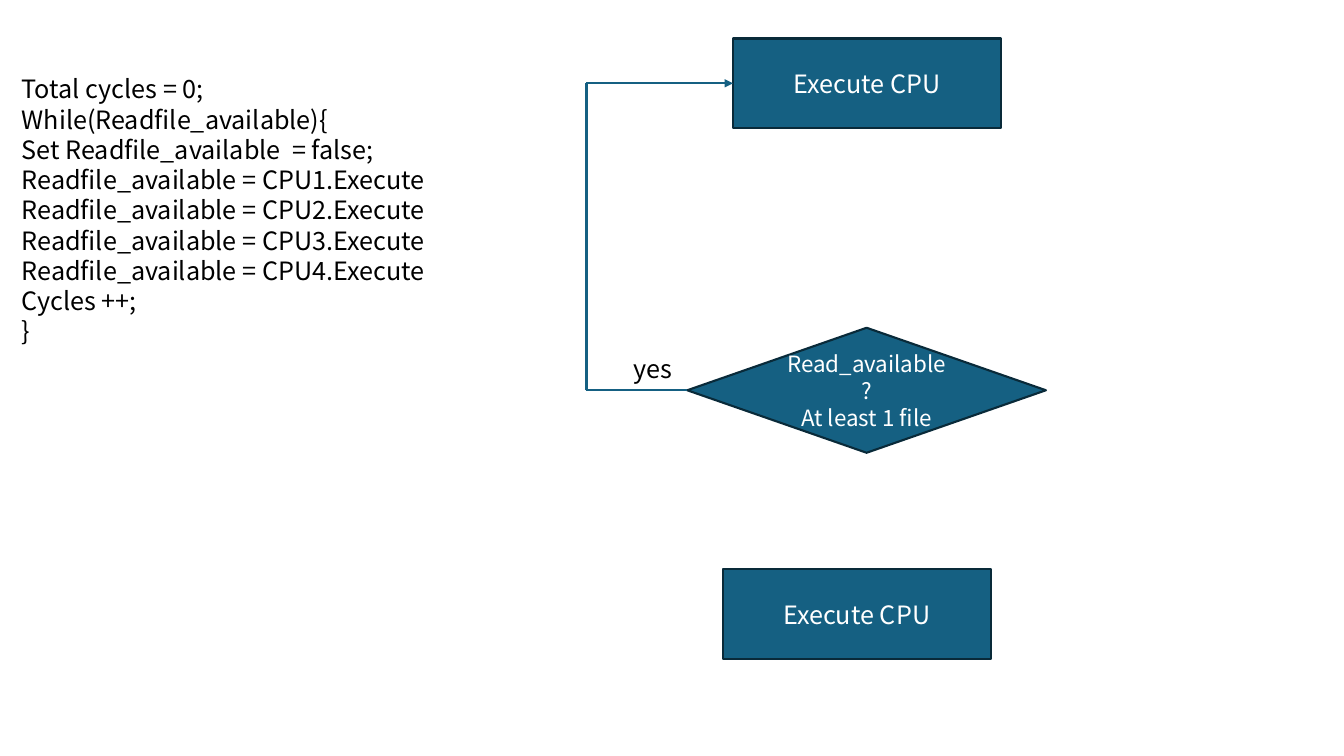
from dataclasses import dataclass
from itertools import pairwise

from lxml.etree import SubElement
from pptx import Presentation
from pptx.dml.color import RGBColor
from pptx.enum.shapes import MSO_CONNECTOR as Connector, MSO_SHAPE as Shape
from pptx.enum.text import MSO_ANCHOR as Anchor, PP_ALIGN as Align
from pptx.oxml.ns import qn
from pptx.util import Cm, Pt


@dataclass(frozen=True)
class Theme:
    """Colours, font and sizes of the slide."""
    fill: RGBColor = RGBColor(0x15, 0x60, 0x82)
    outline: RGBColor = RGBColor(0x09, 0x2A, 0x39)
    dark_text: RGBColor = RGBColor(0, 0, 0)
    light_text: RGBColor = RGBColor(0xFF, 0xFF, 0xFF)
    font: str = "Noto Sans CJK KR"
    body_size: int = 18
    decision_size: int = 16
    line_width: float = 1.5
    line_spacing: float = 1.2


THEME = Theme()
LEFT_SIDE = 1

PSEUDOCODE = [
    "Total cycles = 0;",
    "While(Readfile_available){",
    "Set Readfile_available  = false;",
    *(f"Readfile_available = CPU{number}.Execute" for number in range(1, 5)),
    "Cycles ++;",
    "}",
]


def write_text(frame, lines, size, color, align=Align.LEFT):
    """Write one paragraph per line in a single style."""
    frame.word_wrap = True
    frame.text = "\n".join(lines)
    for paragraph in frame.paragraphs:
        paragraph.alignment = align
        paragraph.line_spacing = Pt(size * THEME.line_spacing)
        paragraph.font.name = THEME.font
        paragraph.font.size = Pt(size)
        paragraph.font.color.rgb = color


def add_text(slide, left, top, width, height, lines):
    """Add a text box and return its text frame."""
    box = slide.shapes.add_textbox(Cm(left), Cm(top), Cm(width), Cm(height))
    write_text(box.text_frame, lines, THEME.body_size, THEME.dark_text)
    return box.text_frame


def add_step(slide, kind, left, top, width, height, text, size):
    """Add a filled flowchart shape with a centred label and return it."""
    shape = slide.shapes.add_shape(kind, Cm(left), Cm(top), Cm(width), Cm(height))
    shape.shadow.inherit = False
    shape.fill.solid()
    shape.fill.fore_color.rgb = THEME.fill
    shape.line.color.rgb = THEME.outline
    shape.line.width = Pt(THEME.line_width)
    shape.text_frame.vertical_anchor = Anchor.MIDDLE
    write_text(shape.text_frame, [text], size, THEME.light_text, Align.CENTER)
    return shape


def add_line(slide, start, end):
    """Add a straight line between two points and return it."""
    line = slide.shapes.add_connector(Connector.STRAIGHT, *start, *end)
    line.line.color.rgb = THEME.fill
    line.line.width = Pt(THEME.line_width)
    SubElement(line._element.spPr, qn("a:effectLst"))
    return line


def left_middle(shape):
    """Return the middle point of a shape's left side."""
    return shape.left, shape.top + shape.height // 2


def add_loop_arrow(slide, source, target, turn_left):
    """Lead an arrow from the source's left side round to the target's."""
    start, end = left_middle(source), left_middle(target)
    corners = [(turn_left, start[1]), (turn_left, end[1])]
    lines = [add_line(slide, *ends) for ends in pairwise([start, *corners, end])]
    lines[0].begin_connect(source, LEFT_SIDE)
    lines[-1].end_connect(target, LEFT_SIDE)
    outline = lines[-1].line._get_or_add_ln()
    SubElement(outline, qn("a:tailEnd"), type="triangle")


def main():
    """Build the CPU execution loop slide."""
    presentation = Presentation()
    presentation.slide_width = Cm(33.87)
    presentation.slide_height = Cm(19.05)
    slide = presentation.slides.add_slide(presentation.slide_layouts[6])

    code_frame = add_text(slide, 0.3, 0.97, 33.5, 10.26, PSEUDOCODE)
    code_frame.margin_top = Cm(0.89)

    first_step, _ = [
        add_step(slide, Shape.RECTANGLE, left, top, 6.76, 2.26,
                 "Execute CPU", THEME.body_size)
        for left, top in ((18.47, 0.97), (18.21, 14.35))
    ]
    decision = add_step(slide, Shape.DIAMOND, 17.32, 8.26, 9.04, 3.15,
                        "Read_available?\vAt least 1 file", THEME.decision_size)

    add_loop_arrow(slide, decision, first_step, Cm(14.78))
    add_text(slide, 15.72, 8.79, 2.16, 1.02, ["yes"])

    presentation.save("out.pptx")


if __name__ == "__main__":
    main()
